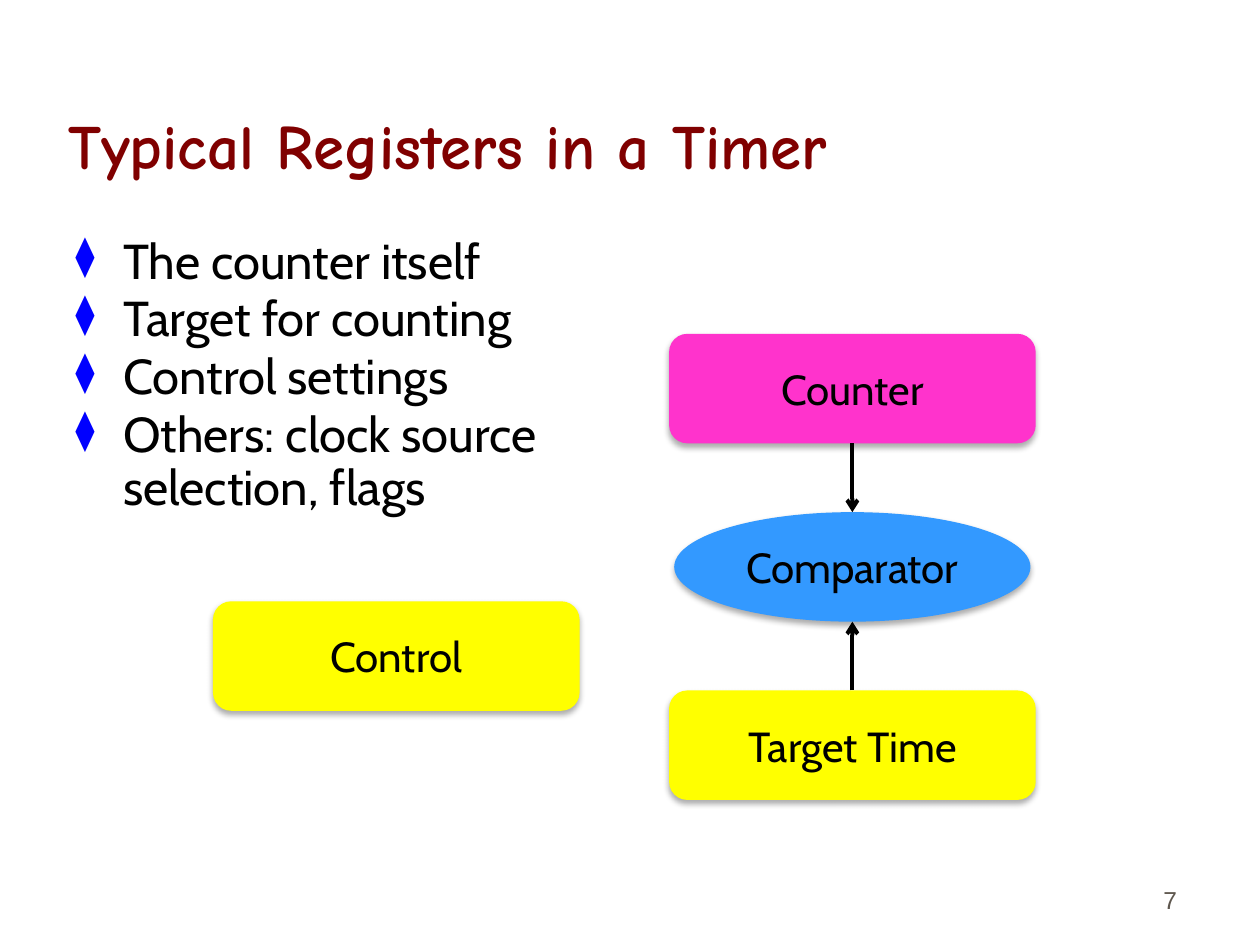
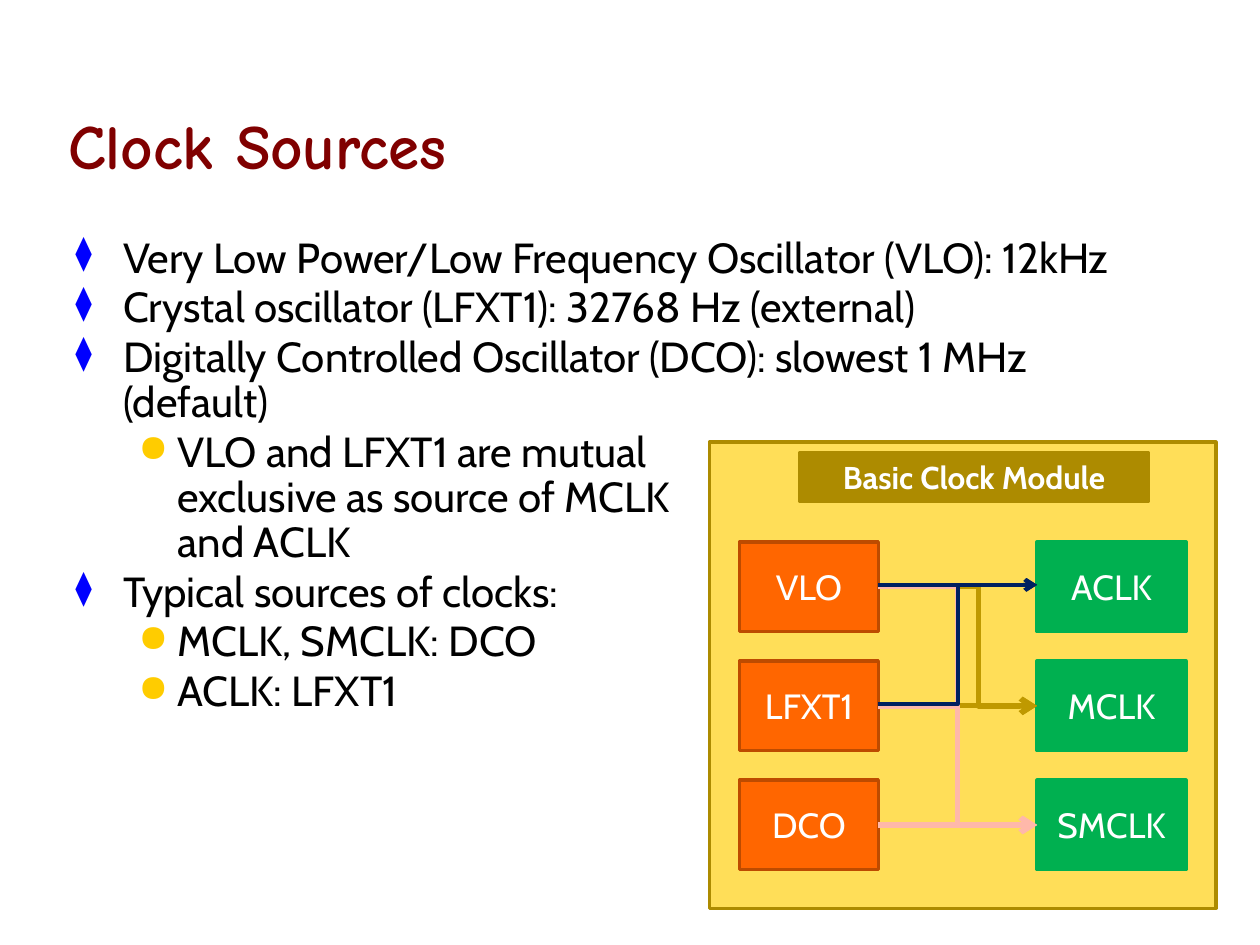
from dataclasses import dataclass

from lxml import etree
from pptx import Presentation, util as u
from pptx.dml.color import RGBColor
from pptx.enum import shapes, text
from pptx.oxml import ns


@dataclass(frozen=True)
class Theme:
    title_font: str = "Comic Neue"
    body_font: str = "Cabin"
    number_font: str = "Arial"
    title_size: int = 36
    large: int = 28
    medium: int = 24
    block: int = 20
    caption: int = 18
    number_size: int = 14
    maroon: str = "800000"
    black: str = "000000"
    white: str = "FFFFFF"
    gray: str = "5E574E"
    pink: str = "FF33CC"
    yellow: str = "FFFF00"
    sky: str = "3399FF"
    sand: str = "FFDE58"
    bronze: str = "AD8B00"
    orange: str = "FF6600"
    rust: str = "BD4B00"
    green: str = "00B050"
    gold: str = "BF9900"
    salmon: str = "FFB8AA"
    navy: str = "002060"


@dataclass(frozen=True)
class Box:
    x: float
    y: float
    w: float
    h: float

    def area(self, x, y, w, h):
        return Box(self.x + self.w * x / 100, self.y + self.h * y / 100,
                   self.w * w / 100, self.h * h / 100)

    def point(self, x, y):
        spot = self.area(x, y, 0, 0)
        return u.Inches(spot.x), u.Inches(spot.y)

    def emu(self):
        return [u.Inches(v) for v in (self.x, self.y, self.w, self.h)]


T = Theme()
SLIDE = Box(0, 0, 10, 7.5)
TITLE = SLIDE.area(4.4, 3.33, 89.7, 16.67)
BODY = SLIDE.area(5, 24.4, 89.4, 65.6)
NUMBER = SLIDE.area(73.6, 90.8, 20.8, 6.67)
BULLETS = (("⧫", "0000FF", 80, 0.38, 0.38), ("●", "FFCC00", 90, 0.81, 0.31))
TITLE_ONLY = 5


def rgb(color):
    return RGBColor.from_string(color)


def add_xml(parent, tag, **attrs):
    return etree.SubElement(parent, ns.qn(tag), {k: str(v) for k, v in attrs.items()})


def style(p, size, font=T.body_font, color=T.black, bold=False, align=None):
    p.font.size, p.font.name, p.font.bold = u.Pt(size), font, bold
    p.font.color.rgb = rgb(color)
    p.alignment = align


def add_title(slide, words):
    sp = slide.shapes.title
    sp.left, sp.top, sp.width, sp.height = TITLE.emu()
    tf = sp.text_frame
    tf.text = words
    tf.auto_size = text.MSO_AUTO_SIZE.NONE
    tf.vertical_anchor = text.MSO_ANCHOR.BOTTOM
    p = tf.paragraphs[0]
    p.line_spacing = 0.85
    style(p, T.title_size, T.title_font, T.maroon, True, text.PP_ALIGN.LEFT)


def add_text_box(slide, box):
    tf = slide.shapes.add_textbox(*box.emu()).text_frame
    tf.word_wrap = True
    return tf


def add_bullets(slide, box, items, size):
    tf = add_text_box(slide, box)
    for i, (level, words) in enumerate(items):
        p = tf.add_paragraph() if i else tf.paragraphs[0]
        p.text, p.level = words, level
        p.line_spacing, p.space_before = 0.9, u.Pt(size * 0.1)
        char, color, percent, margin, hang = BULLETS[level]
        pPr = p._p.get_or_add_pPr()
        pPr.set("marL", str(u.Inches(margin)))
        pPr.set("indent", str(-u.Inches(hang)))
        add_xml(add_xml(pPr, "a:buClr"), "a:srgbClr", val=color)
        add_xml(pPr, "a:buSzPct", val=percent * 1000)
        add_xml(pPr, "a:buChar", char=char)
        style(p, size)


def add_number(slide, number):
    tf = add_text_box(slide, NUMBER)
    tf.vertical_anchor = text.MSO_ANCHOR.BOTTOM
    p = tf.paragraphs[0]
    p.text = number
    style(p, T.number_size, T.number_font, T.gray, align=text.PP_ALIGN.RIGHT)


def add_block(slide, box, kind, fill, line=None, words="", **font):
    sp = slide.shapes.add_shape(kind, *box.emu())
    sp.shadow.inherit = False
    sp.fill.solid()
    sp.fill.fore_color.rgb = rgb(fill)
    if line:
        sp.line.color.rgb, sp.line.width = rgb(line), u.Pt(2)
    else:
        sp.line.fill.background()
    if words:
        p = sp.text_frame.paragraphs[0]
        p.text = words
        style(p, align=text.PP_ALIGN.CENTER, **font)
    return sp


def add_drop_shadow(sp):
    effects = sp._element.spPr.find(ns.qn("a:effectLst"))
    shadow = add_xml(effects, "a:outerShdw", blurRad=u.Pt(3.5), dist=u.Pt(2.2),
                     dir=90 * 60000, rotWithShape=0)
    add_xml(add_xml(shadow, "a:srgbClr", val=T.black), "a:alpha", val=32000)


def add_arrow(slide, start, end, color, width, bend=None):
    kind = shapes.MSO_CONNECTOR.ELBOW if bend else shapes.MSO_CONNECTOR.STRAIGHT
    cx = slide.shapes.add_connector(kind, *start, *end)
    cx.line.color.rgb, cx.line.width = rgb(color), u.Pt(width)
    spPr = cx._element.spPr
    add_xml(spPr.find(ns.qn("a:ln")), "a:tailEnd", type="arrow")
    add_xml(spPr, "a:effectLst")
    if bend:
        guides = spPr.find(ns.qn("a:prstGeom")).get_or_add_avLst()
        add_xml(guides, "a:gd", name="adj1", fmla=f"val {round(bend * 100000)}")


def timer_diagram(slide, box):
    width, height = 44.56, 23.5
    oval_width = 43.3
    right, pitch = 100 - width, (100 - height) / 2
    middle = right + width / 2
    rounded, oval = shapes.MSO_SHAPE.ROUNDED_RECTANGLE, shapes.MSO_SHAPE.OVAL
    for words, x, row, w, kind, fill in (
            ("Counter", right, 0, width, rounded, T.pink),
            ("Target Time", right, 2, width, rounded, T.yellow),
            ("Comparator", middle - oval_width / 2, 1, oval_width, oval, T.sky),
            ("Control", 0, 1.5, width, rounded, T.yellow)):
        place = box.area(x, row * pitch, w, height)
        add_drop_shadow(add_block(slide, place, kind, fill, words=words, size=T.medium))
    for start, end in ((height, pitch), (2 * pitch, pitch + height)):
        add_arrow(slide, box.point(middle, start), box.point(middle, end), T.black, 2.25)


def clock_module(slide, box):
    rect = shapes.MSO_SHAPE.RECTANGLE
    top, pitch, height = 21.4, 25.55, 19.2
    left, left_width, right, right_width = 5.97, 27.4, 64.7, 29.4
    add_block(slide, box, rect, T.sand, T.bronze)
    add_block(slide, box.area(17.9, 2.2, 68.7, 10.5), rect, T.bronze, T.bronze,
              "Basic Clock Module", size=T.caption, color=T.white, bold=True)
    for names, x, w, fill, line in (
            (("VLO", "LFXT1", "DCO"), left, left_width, T.orange, T.rust),
            (("ACLK", "MCLK", "SMCLK"), right, right_width, T.green, T.green)):
        for row, name in enumerate(names):
            add_block(slide, box.area(x, top + row * pitch, w, height), rect,
                      fill, line, name, size=T.block, color=T.white)
    vlo = aclk = 0
    lfxt1 = mclk = 1
    dco = smclk = 2
    for source, clock, color, width, bend, lift in (
            (vlo, mclk, T.gold, 3, 0.63, 0),
            (dco, mclk, T.gold, 3, 0.5, 0),
            (vlo, smclk, T.salmon, 3, 0.5, 0),
            (lfxt1, smclk, T.salmon, 3, 0.5, 0),
            (dco, smclk, T.salmon, 3, None, 0),
            (lfxt1, aclk, T.navy, 2.25, 0.5, 0.4),
            (vlo, aclk, T.navy, 2.25, None, 0.4)):
        middle = top + height / 2 - lift
        add_arrow(slide, box.point(left + left_width, middle + source * pitch),
                  box.point(right, middle + clock * pitch), color, width, bend)


def timer_slide(prs):
    slide = prs.slides.add_slide(prs.slide_layouts[TITLE_ONLY])
    add_title(slide, "Typical Registers in a Timer")
    add_bullets(slide, BODY, (
        (0, "The counter itself"),
        (0, "Target for counting"),
        (0, "Control settings"),
        (0, "Others: clock source\vselection, flags")), T.large)
    add_number(slide, "7")
    timer_diagram(slide, SLIDE.area(16.9, 35.33, 65.3, 49.33))


def clock_slide(prs):
    slide = prs.slides.add_slide(prs.slide_layouts[TITLE_ONLY])
    add_title(slide, "Clock Sources")
    add_bullets(slide, BODY, (
        (0, "Very Low Power/Low Frequency Oscillator (VLO): 12kHz"),
        (0, "Crystal oscillator (LFXT1): 32768 Hz (external)"),
        (0, "Digitally Controlled Oscillator (DCO): slowest 1 MHz (default)"),
        (1, "VLO and LFXT1 are mutual\vexclusive as source of MCLK\vand ACLK"),
        (0, "Typical sources of clocks:"),
        (1, "MCLK, SMCLK: DCO"),
        (1, "ACLK: LFXT1")), T.medium)
    clock_module(slide, SLIDE.area(56.3, 46.8, 40.2, 49.33))


def main():
    prs = Presentation()
    prs.slide_width, prs.slide_height = u.Inches(SLIDE.w), u.Inches(SLIDE.h)
    timer_slide(prs)
    clock_slide(prs)
    prs.save("out.pptx")


if __name__ == "__main__":
    main()
